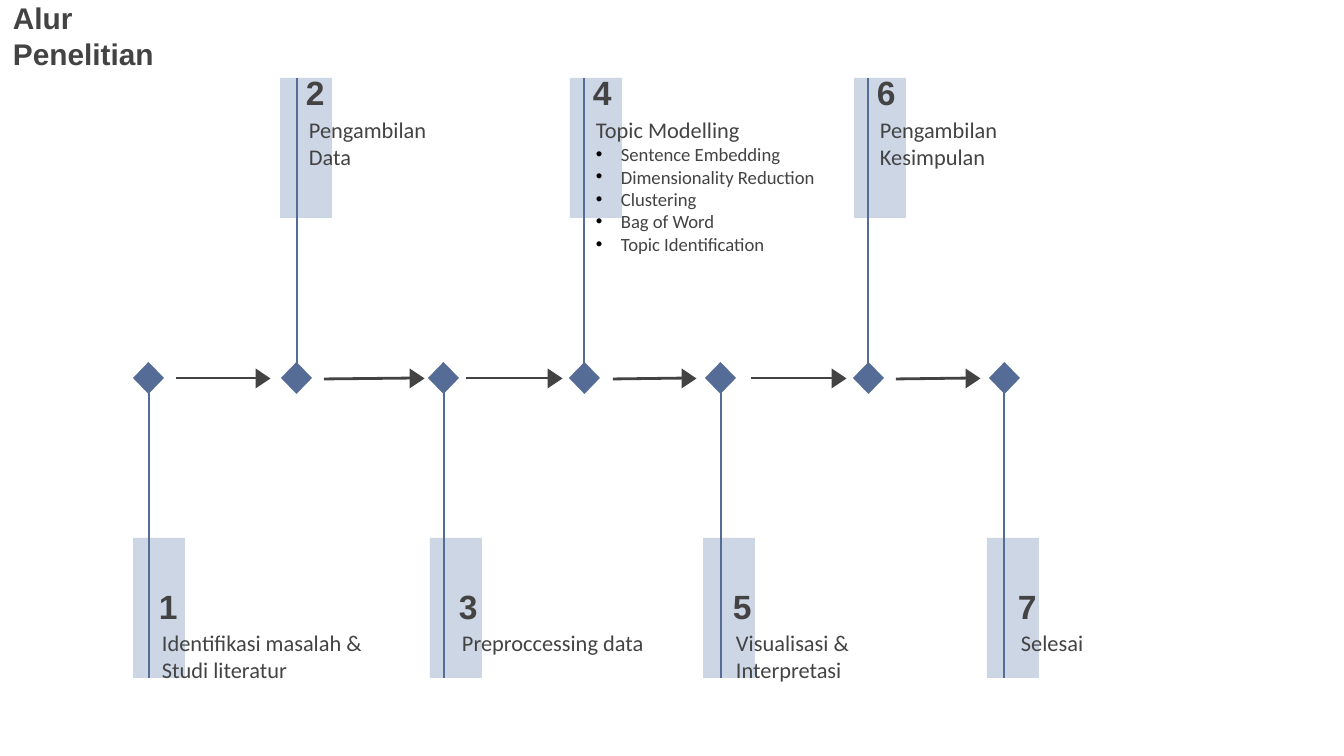
from lxml.etree import SubElement
from pptx import Presentation
from pptx.dml.color import RGBColor
from pptx.enum.shapes import MSO_CONNECTOR as Line, MSO_SHAPE as Shape
from pptx.enum.text import MSO_ANCHOR as Anchor
from pptx.oxml.ns import qn
from pptx.util import Pt

SCALE = 914400 / 134.4
BLUE, PALE, DARK = "556D96", "A9B9D3", "434343"
MID = 378

# diamond left, bar left, stem x, label left, label lines, bullets
STEPS = [
    (133, 133, 149, 149, ["Identifikasi masalah &", "Studi literatur"], []),
    (281, 280, 297, 296, ["Pengambilan", "Data"], []),
    (428, 430, 444, 449, ["Preproccessing data"], []),
    (569, 570, 584, 583, ["Topic Modelling"],
     ["Sentence Embedding", "Dimensionality Reduction", "Clustering",
      "Bag of Word", "Topic Identification"]),
    (705, 703, 721, 723, ["Visualisasi &", "Interpretasi"], []),
    (853, 854, 868, 867, ["Pengambilan", "Kesimpulan"], []),
    (989, 987, 1004, 1008, ["Selesai"], []),
]
# start x, end x, start y
ARROWS = [(176, 267, MID), (324, 421, MID + 1), (466, 559, MID),
          (613, 693, MID + 1), (751, 843, MID), (896, 977, MID + 1)]


def px(n):
    return round(n * SCALE)


def color(code):
    return RGBColor.from_string(code)


def add_shape(slide, kind, box, fill, alpha=None, turn=0):
    shape = slide.shapes.add_shape(kind, *map(px, box))
    shape.shadow.inherit = False
    shape.fill.solid()
    shape.fill.fore_color.rgb = color(fill)
    shape.line.fill.background()
    shape.rotation = turn
    if alpha:
        tone = shape._element.spPr.find(".//" + qn("a:srgbClr"))
        SubElement(tone, qn("a:alpha"), val=str(alpha * 1000))


def add_line(slide, ends, tint):
    line = slide.shapes.add_connector(Line.STRAIGHT, *map(px, ends))
    line.line.color.rgb = color(tint)
    line.line.width = Pt(1.5)
    SubElement(line._element.spPr, qn("a:effectLst"))


def add_bullet(para):
    props = para._p.get_or_add_pPr()
    props.set("marL", str(px(25)))
    props.set("indent", str(px(-25)))
    tint = SubElement(props, qn("a:buClr"))
    SubElement(tint, qn("a:srgbClr"), val="000000")
    SubElement(props, qn("a:buFont"), typeface="Arial")
    SubElement(props, qn("a:buChar"), char="•")


def add_text(slide, lines, box, size=12, font="Calibri", bold=False,
             anchor=Anchor.TOP, bullets=()):
    frame = slide.shapes.add_textbox(*map(px, box)).text_frame
    frame.word_wrap = True
    frame.vertical_anchor = anchor
    frame.margin_left = frame.margin_right = px(13)
    frame.margin_top = frame.margin_bottom = px(13)
    for i, words in enumerate([*lines, *bullets]):
        para = frame.add_paragraph() if i else frame.paragraphs[0]
        run = para.add_run()
        run.text = words
        run.font.name = font
        run.font.size = Pt(size)
        run.font.bold = bold
        run.font.color.rgb = color(DARK)
        if i >= len(lines):
            add_bullet(para)
            run.font.size = Pt(10)


def add_step(slide, num, step):
    """Odd steps hang below the timeline, even steps stand above it."""
    gem, bar, stem, left, lines, bullets = step
    above = num % 2 == 0
    top, num_y, text_y = (78, 59, 103) if above else (538, 573, 616)
    add_shape(slide, Shape.RECTANGLE, (bar, top, 52, 140), PALE, alpha=58)
    add_line(slide, (stem, MID, stem, top if above else top + 140), BLUE)
    add_shape(slide, Shape.DIAMOND, (gem, MID - 16, 31, 32), BLUE)
    add_text(slide, lines, (left, text_y, 271, 97), bullets=bullets)
    add_text(slide, [str(num)], (left - 3, num_y, 167, 64),
             size=18, font="Arial", bold=True)


def add_arrow(slide, start, end, y):
    add_line(slide, (start, y, end, MID), DARK)
    add_shape(slide, Shape.ISOSCELES_TRIANGLE, (end - 14, MID - 7, 20, 15),
              DARK, turn=90)


def main():
    deck = Presentation()
    deck.slide_width, deck.slide_height = px(1344), px(756)
    slide = deck.slides.add_slide(deck.slide_layouts[6])
    for num, step in enumerate(STEPS, 1):
        add_step(slide, num, step)
    for arrow in ARROWS:
        add_arrow(slide, *arrow)
    add_text(slide, ["Alur", "Penelitian"], (0, 6, 300, 60), size=16,
             font="Arial", bold=True, anchor=Anchor.MIDDLE)
    deck.save("out.pptx")


if __name__ == "__main__":
    main()
